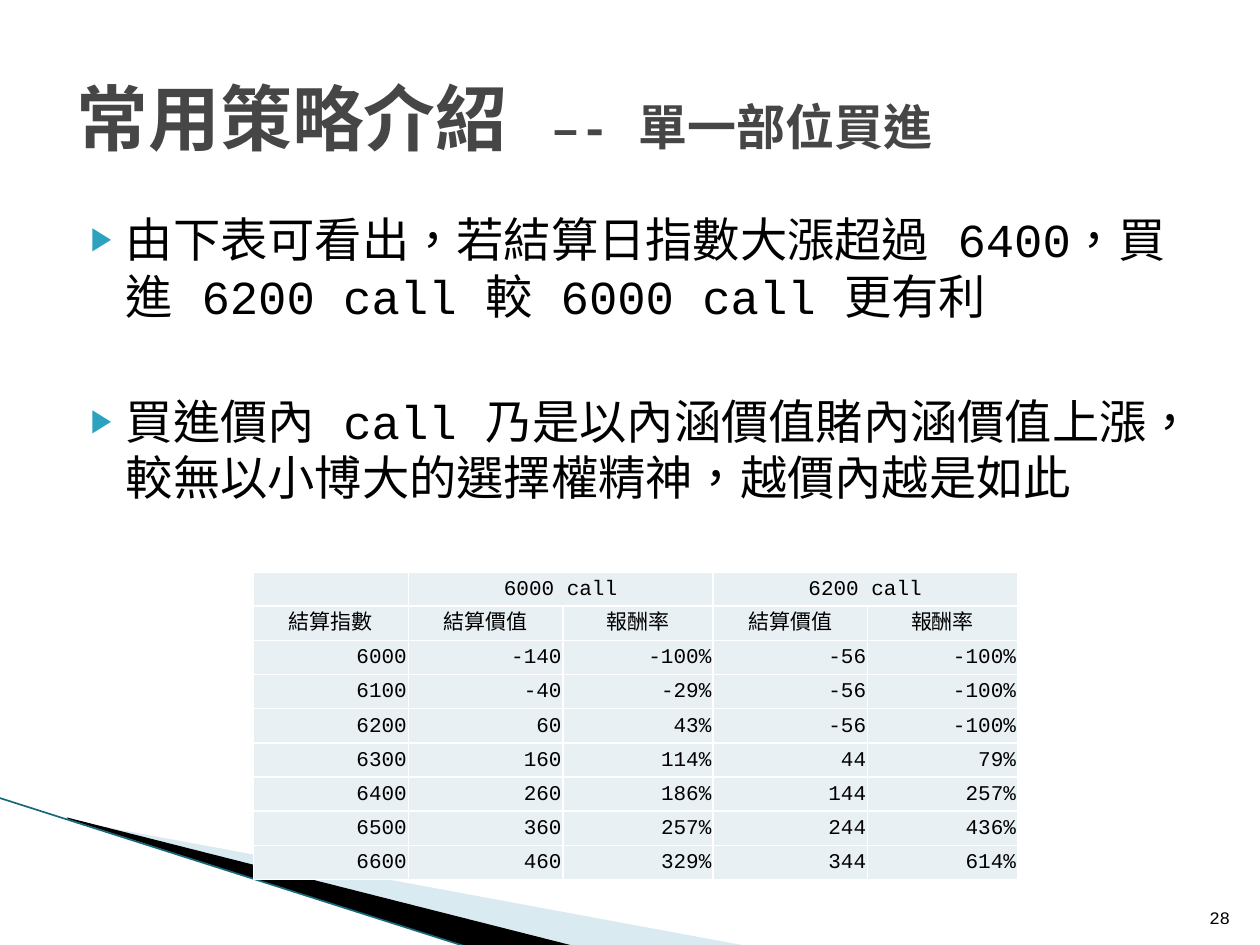
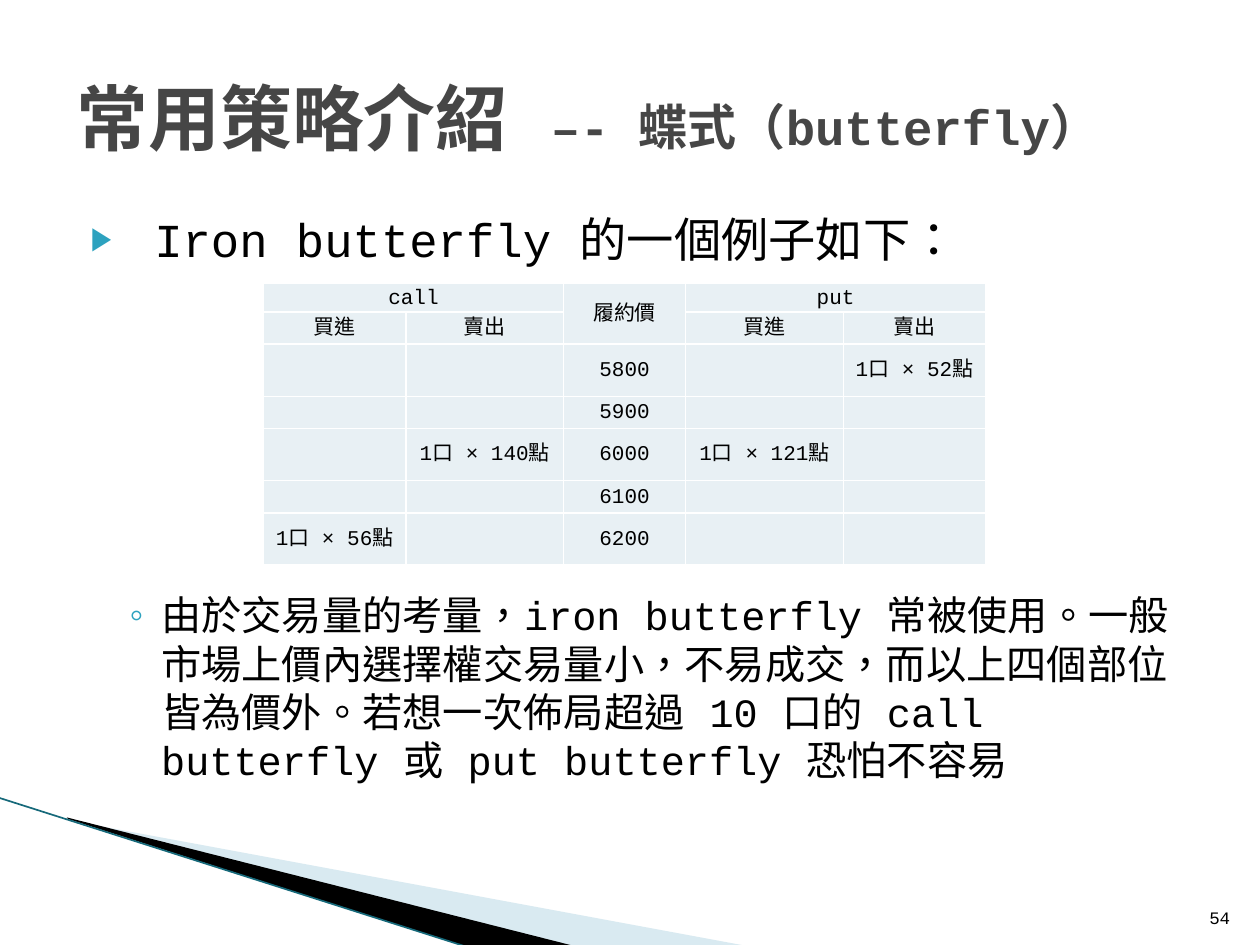
from lxml import etree
from pptx import Presentation
from pptx.dml.color import RGBColor
from pptx.enum.shapes import MSO_CONNECTOR
from pptx.enum.text import MSO_ANCHOR, PP_ALIGN
from pptx.oxml.ns import qn
from pptx.util import Cm, Pt

LINE = MSO_CONNECTOR.STRAIGHT
MID, TOP, BASE = MSO_ANCHOR.MIDDLE, MSO_ANCHOR.TOP, MSO_ANCHOR.BOTTOM
LEFT, MIDDLE, RIGHT = PP_ALIGN.LEFT, PP_ALIGN.CENTER, PP_ALIGN.RIGHT

# Shared look
FONT = "Courier New"
INK, GREY, WHITE = "000000", "464646", "FFFFFF"
TEAL, CELL, PALE, EDGE = "2DA2BF", "E8F0F4", "A0CBDC", "16697A"
HEAD = "常用策略介紹 "

# Corner bands: colour, opacity in percent, outline in cm
BANDS = [
    (PALE, 40, [(1.4, 16.54), (15.11, 19.08), (11.58, 19.08), (1.4, 16.51)]),
    (INK, 100, [(1.35, 16.48), (11.61, 19.08), (9.45, 19.1), (1.37, 16.51)]),
]

# Bullet levels: mark, size of mark in percent, text size, indent, hanging
LEVELS = [("▶", 68, 27, 1.02, 0.71), ("◦", 100, 23, 1.73, 0.64)]

# Content; a point is (level, space before, text); a merge is two corners
SLIDES = [
    {
        "topic": "–- 單一部位買進",
        "page": "28",
        "points": [
            (0, 0, "由下表可看出，若結算日指數大漲超過 6400，買進 6200 call 較 6000 call 更有利"),
            (0, 39, "買進價內 call 乃是以內涵價值賭內涵價值上漲，較無以小博大的選擇權精神，越價內越是如此"),
        ],
        "at": (5.11, 11.53),
        "cols": [3.12, 3.12, 3.02, 3.12, 3.02],
        "heights": [0.69] * 9,
        "merges": [((0, 1), (0, 2)), ((0, 3), (0, 4))],
        "align": RIGHT,
        "rows": [
            ["", "6000 call", "", "6200 call", ""],
            ["結算指數", "結算價值", "報酬率", "結算價值", "報酬率"],
            ["6000", "-140", "-100%", "-56", "-100%"],
            ["6100", "-40", "-29%", "-56", "-100%"],
            ["6200", "60", "43%", "-56", "-100%"],
            ["6300", "160", "114%", "44", "79%"],
            ["6400", "260", "186%", "144", "257%"],
            ["6500", "360", "257%", "244", "436%"],
            ["6600", "460", "329%", "344", "614%"],
        ],
    },
    {
        "topic": "–- 蝶式（butterfly）",
        "page": "54",
        "points": [
            (0, 0, " Iron butterfly 的一個例子如下："),
            (1, 185, "由於交易量的考量，iron butterfly 常被使用。一般市場上價內選擇權交易量小，"
                     "不易成交，而以上四個部位皆為價外。若想一次佈局超過 10 口的 call butterfly "
                     "或 put butterfly 恐怕不容易"),
        ],
        "at": (5.31, 5.72),
        "cols": [2.87, 3.18, 2.46, 3.18, 2.87],
        "heights": [0.57, 0.65, 1.05, 0.65, 1.05, 0.65, 1.05],
        "merges": [((0, 0), (0, 1)), ((0, 2), (1, 2)), ((0, 3), (0, 4))],
        "align": MIDDLE,
        "rows": [
            ["call", "", "履約價", "put", ""],
            ["買進", "賣出", "", "買進", "賣出"],
            ["", "", "5800", "", "1口 × 52點"],
            ["", "", "5900", "", ""],
            ["", "1口 × 140點", "6000", "1口 × 121點", ""],
            ["", "", "6100", "", ""],
            ["1口 × 56點", "", "6200", "", ""],
        ],
    },
]


def hue(code):
    return RGBColor.from_string(code)


def node(parent, tag, **attrs):
    item = etree.SubElement(parent, qn(tag))
    for key, value in attrs.items():
        item.set(key, str(value))
    return item


def add_run(para, text, size, color=INK, bold=False):
    run = para.add_run()
    run.text = text
    font = run.font
    font.name, font.size, font.bold = FONT, Pt(size), bold
    font.color.rgb = hue(color)
    props = run._r.get_or_add_rPr()
    props.set("lang", "zh-TW")
    node(props, "a:ea", typeface=FONT)


def add_box(slide, box, anchor):
    frame = slide.shapes.add_textbox(*map(Cm, box)).text_frame
    frame.word_wrap = True
    frame.vertical_anchor = anchor
    return frame


def add_bands(slide):
    for color, alpha, points in BANDS:
        spots = [(Cm(x), Cm(y)) for x, y in points]
        path = slide.shapes.build_freeform(*spots[0], scale=1.0)
        path.add_line_segments(spots[1:], close=True)
        band = path.convert_to_shape()
        band.shadow.inherit = False
        band.line.fill.background()
        band.fill.solid()
        band.fill.fore_color.rgb = hue(color)
        if alpha < 100:
            fill = band._element.spPr.find(qn("a:solidFill"))
            node(fill[0], "a:alpha", val=alpha * 1000)
    edge = slide.shapes.add_connector(LINE, Cm(-0.03), Cm(16.08), Cm(9.45), Cm(19.1))
    edge.line.color.rgb = hue(EDGE)
    edge.line.width = Pt(0.95)
    node(edge._element.spPr, "a:effectLst")


def add_points(slide, points):
    frame = add_box(slide, (1.27, 4.11, 22.86, 12.57), TOP)
    for i, (level, gap, text) in enumerate(points):
        para = frame.add_paragraph() if i else frame.paragraphs[0]
        mark, scale, size, left, hang = LEVELS[level]
        para.level = level
        para.space_before = Pt(gap)
        props = para._p.get_or_add_pPr()
        props.set("marL", str(Cm(left)))
        props.set("indent", str(-Cm(hang)))
        node(node(props, "a:buClr"), "a:srgbClr", val=TEAL)
        node(props, "a:buSzPct", val=scale * 1000)
        node(props, "a:buFont", typeface="Arial")
        node(props, "a:buChar", char=mark)
        add_run(para, text, size)


def style_cell(cell, text, align):
    cell.margin_left = cell.margin_right = cell.margin_top = Cm(0.03)
    cell.margin_bottom = 0
    cell.vertical_anchor = MID
    props = cell._tc.get_or_add_tcPr()
    for side in "LRTB":
        border = node(props, "a:ln" + side, w=Pt(1))
        node(node(border, "a:solidFill"), "a:srgbClr", val=WHITE)
    cell.fill.solid()
    cell.fill.fore_color.rgb = hue(CELL)
    para = cell.text_frame.paragraphs[0]
    para.alignment = align
    if text:
        add_run(para, text, 12)
    else:
        node(para._p, "a:endParaRPr", sz=1200)


def add_grid(slide, data):
    rows, cols, heights = data["rows"], data["cols"], data["heights"]
    size = (sum(cols), sum(heights))
    grid = slide.shapes.add_table(
        len(rows), len(cols), *map(Cm, data["at"] + size)).table
    for col, width in zip(grid.columns, cols):
        col.width = Cm(width)
    for row, height in zip(grid.rows, heights):
        row.height = Cm(height)
    for r, texts in enumerate(rows):
        for c, text in enumerate(texts):
            style_cell(grid.cell(r, c), text, MIDDLE if r < 2 else data["align"])
    for first, last in data["merges"]:
        grid.cell(*first).merge(grid.cell(*last))


def add_page(deck, data):
    slide = deck.slides.add_slide(deck.slide_layouts[6])
    add_bands(slide)
    add_points(slide, data["points"])
    # Title
    para = add_box(slide, (1.3, 0.76, 22.86, 3.18), MID).paragraphs[0]
    add_run(para, HEAD, 41, GREY, True)
    add_run(para, data["topic"], 28, GREY, True)
    add_grid(slide, data)
    # Page number
    para = add_box(slide, (24.03, 17.81, 1.02, 1.02), BASE).paragraphs[0]
    para.alignment = RIGHT
    add_run(para, data["page"], 10)


def main():
    deck = Presentation()
    deck.slide_width, deck.slide_height = Cm(25.4), Cm(19.05)
    for data in SLIDES:
        add_page(deck, data)
    deck.save("out.pptx")


if __name__ == "__main__":
    main()
